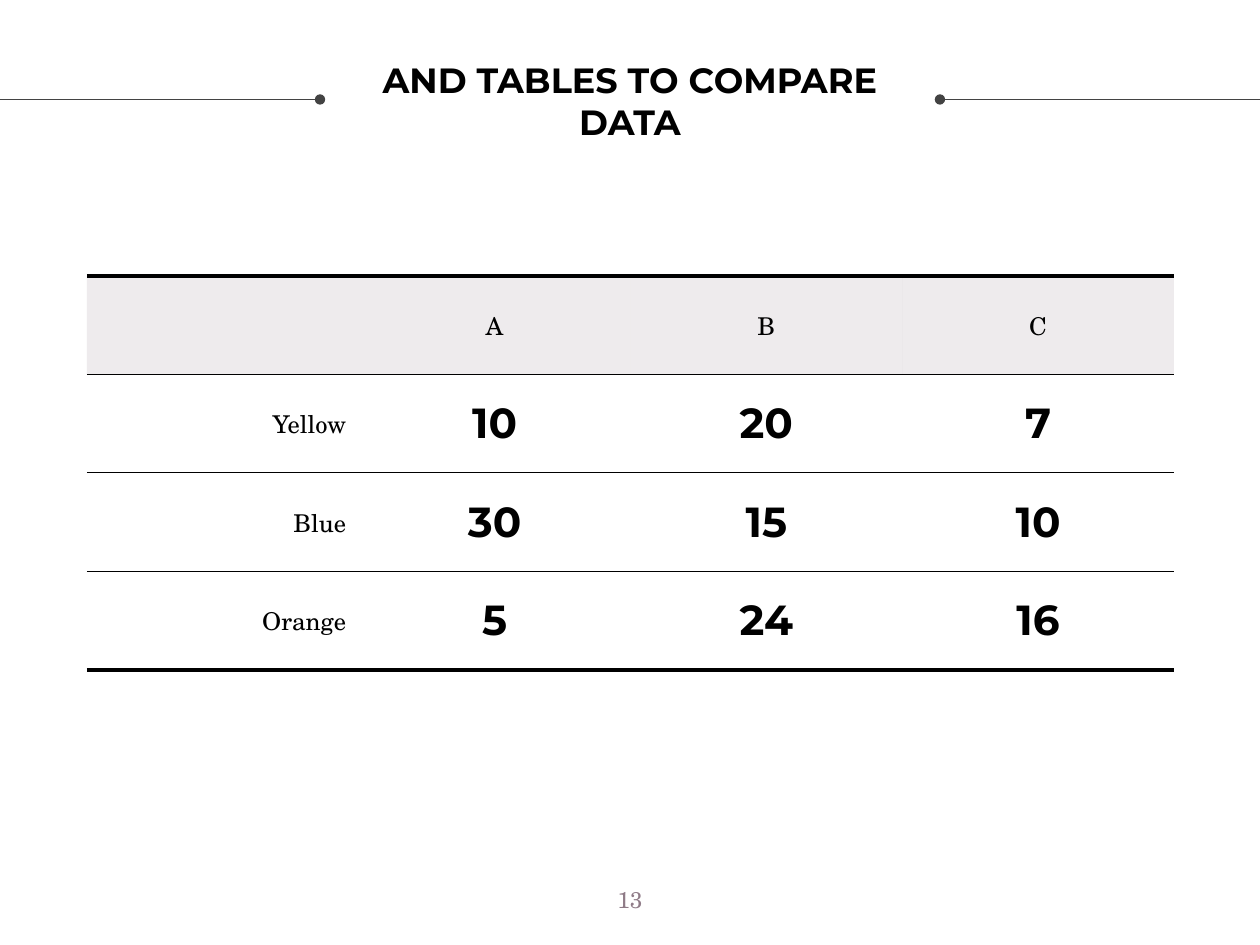
"""Build a slide with a titled table that compares three colours across three columns."""
from lxml.etree import SubElement
from pptx import Presentation
from pptx.dml.color import RGBColor
from pptx.enum.shapes import MSO_CONNECTOR
from pptx.enum.text import MSO_ANCHOR, PP_ALIGN
from pptx.oxml import parse_xml
from pptx.oxml.ns import nsdecls, qn
from pptx.util import Inches, Pt

BLACK = RGBColor(0x00, 0x00, 0x00)
CHARCOAL = RGBColor(0x43, 0x43, 0x43)
MAUVE = RGBColor(0x8F, 0x7B, 0x87)

TITLE = {"name": "Montserrat", "size": Pt(20), "bold": True}
LABEL = {"name": "TeX Gyre Schola", "size": Pt(14), "bold": False}
NUMBER = {"name": "Montserrat", "size": Pt(24), "bold": True}
PAGE = {"name": "TeX Gyre Schola", "size": Pt(13), "bold": False}

ROWS = [
    ["", "A", "B", "C"],
    ["Yellow", "10", "20", "7"],
    ["Blue", "30", "15", "10"],
    ["Orange", "5", "24", "16"],
]

deck = Presentation()
deck.slide_width, deck.slide_height = Inches(10), Inches(7.5)
slide = deck.slides.add_slide(deck.slide_layouts[6])


def place(*percents):
    """Turn alternating width and height percentages into slide lengths."""
    sides = (deck.slide_width, deck.slide_height) * 2
    return [round(side * percent / 100) for side, percent in zip(sides, percents)]


def write(frame, text, style, color, align):
    """Put one formatted paragraph in a text frame with even margins."""
    frame.word_wrap = True
    for side in ("left", "right", "top", "bottom"):
        setattr(frame, f"margin_{side}", Inches(0.1))
    para = frame.paragraphs[0]
    para.alignment = align
    span = para.add_run()
    span.text = text
    for name, value in style.items():
        setattr(span.font, name, value)
    span.font.color.rgb = color


for dot, edge in ((25.4, -0.3), (74.6, 100.1)):
    rule = slide.shapes.add_connector(MSO_CONNECTOR.STRAIGHT, *place(dot, 10.53, edge, 10.53))
    rule.line.color.rgb = CHARCOAL
    rule.line.width = Pt(0.75)
    SubElement(rule.line._get_or_add_ln(), qn("a:headEnd"), type="oval", w="med", len="med")
    SubElement(rule._element.spPr, qn("a:effectLst"))

for area, text, style, color, anchor in (
    ((28.7, 2.27, 42.6, 16.67), "AND TABLES TO COMPARE DATA", TITLE, BLACK, MSO_ANCHOR.MIDDLE),
    ((47, 92.4, 6, 7.6), "13", PAGE, MAUVE, MSO_ANCHOR.TOP),
):
    box = slide.shapes.add_textbox(*place(*area))
    write(box.text_frame, text, style, color, PP_ALIGN.CENTER)
    box.text_frame.vertical_anchor = anchor

table = slide.shapes.add_table(len(ROWS), len(ROWS[0]), *place(6.9, 29.2, 86.28, 41.68)).table
table.first_row = table.horz_banding = False

for row, texts in enumerate(ROWS):
    top = 2.25 if row == 0 else 0.75
    bottom = 2.25 if row == len(ROWS) - 1 else 0.75
    for column, text in enumerate(texts):
        cell = table.cell(row, column)
        for side in ("left", "right", "top", "bottom"):
            setattr(cell, f"margin_{side}", Inches(0.1))
        cell.vertical_anchor = MSO_ANCHOR.MIDDLE
        if text:
            style = NUMBER if row and column else LABEL
            align = PP_ALIGN.CENTER if column else PP_ALIGN.RIGHT
            write(cell.text_frame, text, style, BLACK, align)
        properties = cell._tc.get_or_add_tcPr()
        for side, width in (("L", 0), ("R", 0), ("T", top), ("B", bottom)):
            paint = f'<a:solidFill><a:srgbClr val="{BLACK}"/></a:solidFill>' if width else "<a:noFill/>"
            properties.append(parse_xml(
                f'<a:ln{side} {nsdecls("a")} w="{Pt(width)}">{paint}</a:ln{side}>'
            ))
        if row:
            cell.fill.background()
        else:
            cell.fill.solid()
            cell.fill.fore_color.rgb = MAUVE
            tint = properties.find(qn("a:solidFill")).find(qn("a:srgbClr"))
            SubElement(tint, qn("a:alpha"), val="15000")

deck.save("out.pptx")
